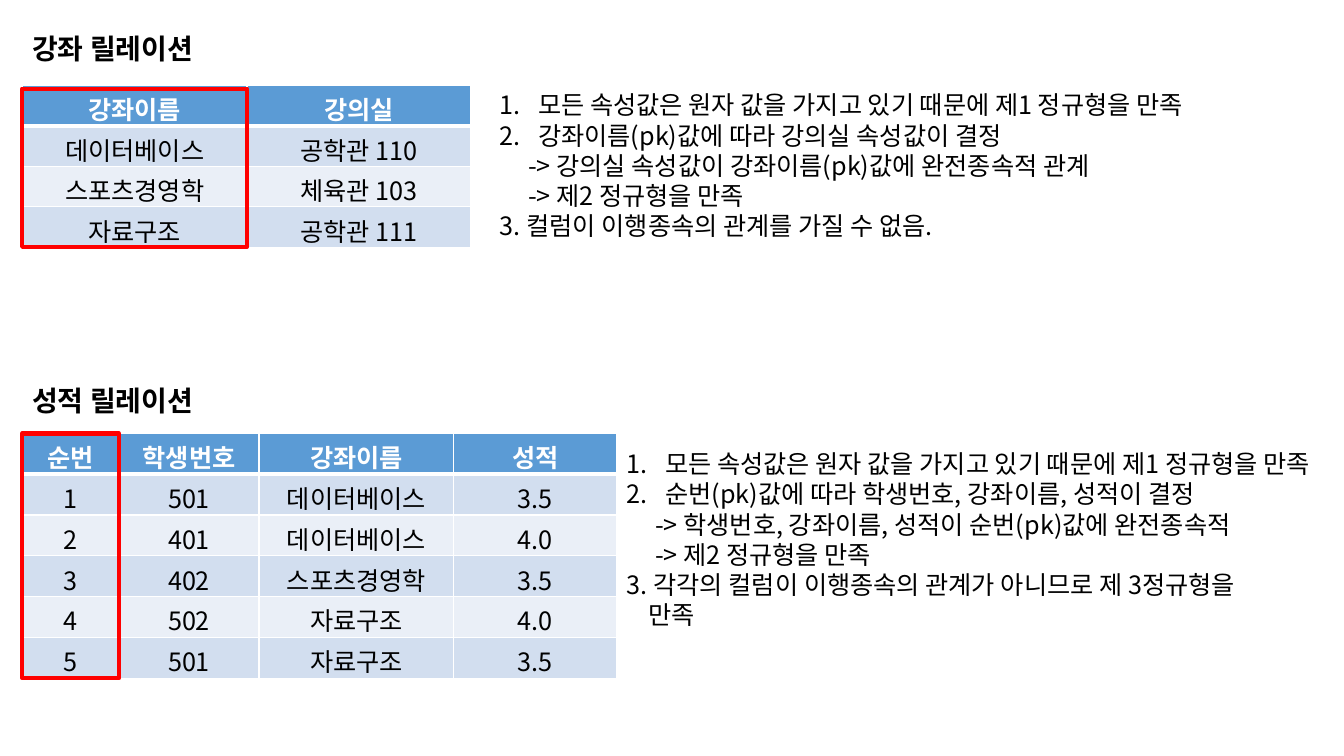
from lxml import etree
from pptx import Presentation
from pptx import util as u
from pptx.dml.color import RGBColor
from pptx.enum import shapes, text
from pptx.oxml.ns import qn

FONT = "Noto Sans CJK KR"
COLORS = {"ink": "000000", "white": "FFFFFF", "head": "5B9BD5",
          "odd": "D2DEEF", "even": "EAEFF7", "key": "FF0000"}
LEFT = 0.22
INDENTS = {"number": (0.38, -0.38), "arrow": (0.28, 0), "plain": (0, 0), "rest": (0.21, 0)}

RELATIONS = [
    {"title": "강좌 릴레이션", "title_top": 0.26,
     "top": 0.85, "height": 1.6, "cols": [2.23, 2.22], "key_top": 0.88,
     "rows": [("강좌이름", "강의실"),
              ("데이터베이스", "공학관 110"),
              ("스포츠경영학", "체육관 103"),
              ("자료구조", "공학관 111")],
     "notes_at": (4.86, 0.84, 7.83, 1.62),
     "notes": [("number", "모든 속성값은 원자 값을 가지고 있기 때문에 제1 정규형을 만족"),
               ("number", "강좌이름(pk)값에 따라 강의실 속성값이 결정"),
               ("arrow", "-> 강의실 속성값이 강좌이름(pk)값에 완전종속적 관계"),
               ("arrow", "-> 제2 정규형을 만족"),
               ("plain", "3. 컬럼이 이행종속의 관계를 가질 수 없음.")]},
    {"title": "성적 릴레이션", "title_top": 3.76,
     "top": 4.3, "height": 2.43, "cols": [0.96, 1.39, 1.93, 1.62], "key_top": 4.3,
     "rows": [("순번", "학생번호", "강좌이름", "성적"),
              ("1", "501", "데이터베이스", "3.5"),
              ("2", "401", "데이터베이스", "4.0"),
              ("3", "402", "스포츠경영학", "3.5"),
              ("4", "502", "자료구조", "4.0"),
              ("5", "501", "자료구조", "3.5")],
     "notes_at": (6.12, 4.4, 7, 2.22),
     "notes": [("number", "모든 속성값은 원자 값을 가지고 있기 때문에 제1 정규형을 만족"),
               ("number", "순번(pk)값에 따라 학생번호, 강좌이름, 성적이 결정"),
               ("arrow", "-> 학생번호, 강좌이름, 성적이 순번(pk)값에 완전종속적"),
               ("arrow", "-> 제2 정규형을 만족"),
               ("plain", "3. 각각의 컬럼이 이행종속의 관계가 아니므로 제 3정규형을"),
               ("rest", "만족")]},
]


def rgb(name):
    return RGBColor.from_string(COLORS[name])


def write(p, content, size=18, bold=False, color="ink", align=text.PP_ALIGN.LEFT, indent="plain"):
    p.alignment = align
    r = p.add_run()
    r.text = content
    r.font.size, r.font.bold, r.font.name = u.Pt(size), bold, FONT
    r.font.color.rgb = rgb(color)
    etree.SubElement(r.font._element, qn("a:ea")).set("typeface", FONT)
    margin, first = INDENTS[indent]
    pPr = p._p.get_or_add_pPr()
    pPr.set("marL", str(u.Inches(margin)))
    pPr.set("indent", str(u.Inches(first)))
    if indent == "number":
        etree.SubElement(pPr, qn("a:buFont")).set("typeface", "+mj-lt")
        etree.SubElement(pPr, qn("a:buAutoNum")).set("type", "arabicPeriod")


def add_text(slide, box, lines, **fmt):
    tf = slide.shapes.add_textbox(*map(u.Inches, box)).text_frame
    tf.word_wrap = True
    for i, (indent, content) in enumerate(lines):
        p = tf.add_paragraph() if i else tf.paragraphs[0]
        write(p, content, indent=indent, **fmt)


def border(cell, widths):
    tcPr = cell._tc.get_or_add_tcPr()
    for side, width in zip("LRTB", widths):
        ln = etree.SubElement(tcPr, qn("a:ln" + side), w=str(u.Pt(width)))
        fill = etree.SubElement(ln, qn("a:solidFill"))
        etree.SubElement(fill, qn("a:srgbClr")).set("val", COLORS["white"])


def add_relation(slide, rel):
    rows, cols, top, height = rel["rows"], rel["cols"], rel["top"], rel["height"]
    box = map(u.Inches, (LEFT, top, sum(cols), height))
    table = slide.shapes.add_table(len(rows), len(cols), *box).table
    for col, width in zip(table.columns, cols):
        col.width = u.Inches(width)
    for i, values in enumerate(rows):
        table.rows[i].height = u.Inches(height / len(rows))
        fill = "head" if i == 0 else "odd" if i % 2 else "even"
        for j, value in enumerate(values):
            cell = table.cell(i, j)
            border(cell, (1, 1, 3 if i == 1 else 1, 3 if i == 0 else 1))
            cell.fill.solid()
            cell.fill.fore_color.rgb = rgb(fill)
            write(cell.text_frame.paragraphs[0], value, bold=i == 0,
                  color="ink" if i else "white", align=text.PP_ALIGN.CENTER)
    key_box = (LEFT, rel["key_top"], cols[0], top + height - rel["key_top"])
    sp = slide.shapes.add_shape(shapes.MSO_SHAPE.RECTANGLE, *map(u.Inches, key_box))
    sp.shadow.inherit = False
    sp.fill.background()
    sp.line.color.rgb = rgb("key")
    sp.line.width = u.Pt(3)


prs = Presentation()
prs.slide_width, prs.slide_height = u.Inches(13.33), u.Inches(7.5)
slide = prs.slides.add_slide(prs.slide_layouts[6])
for rel in RELATIONS:
    add_text(slide, (LEFT, rel["title_top"], 5.66, 0.44), [("plain", rel["title"])], size=20, bold=True)
    add_text(slide, rel["notes_at"], rel["notes"])
    add_relation(slide, rel)
prs.save("out.pptx")
